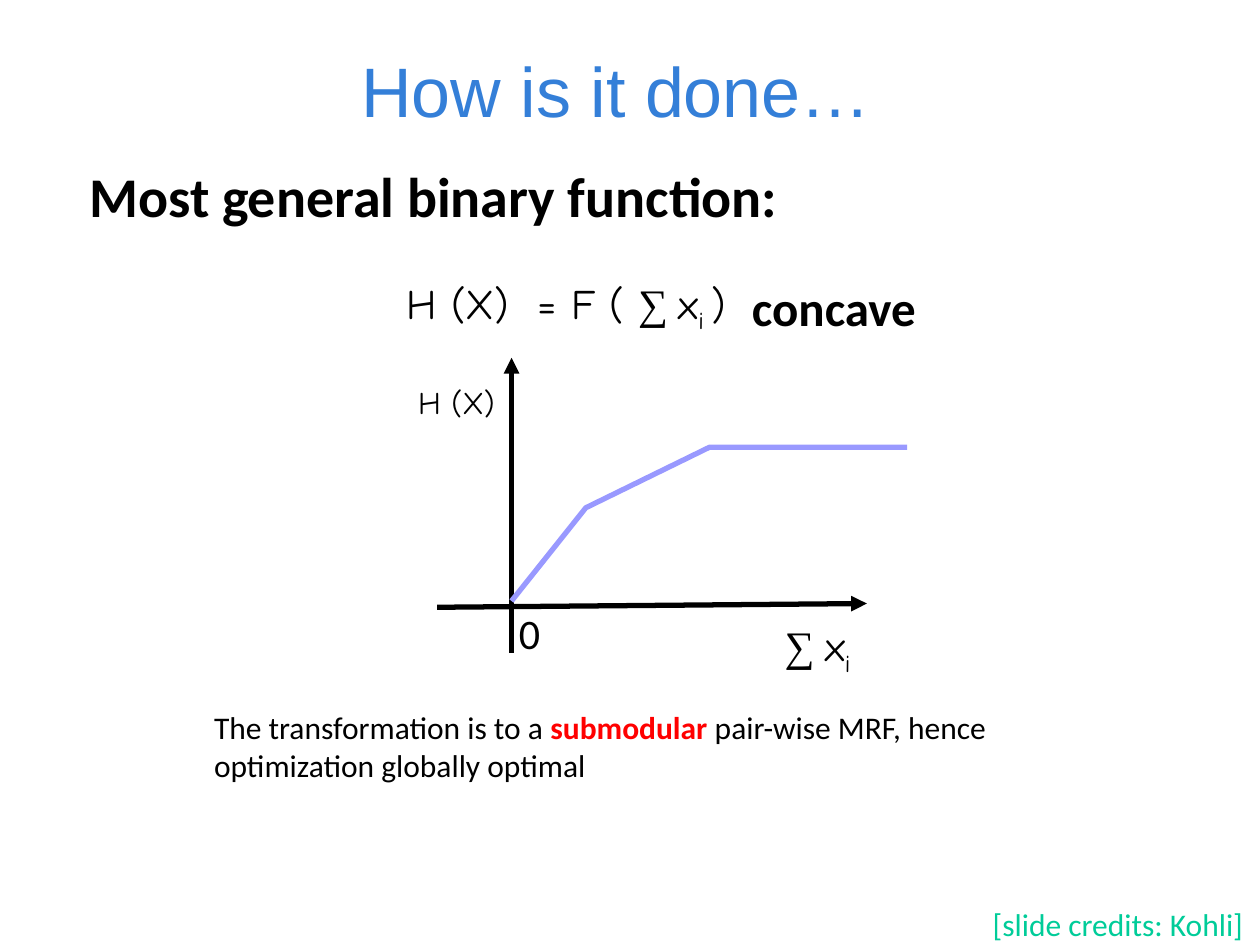
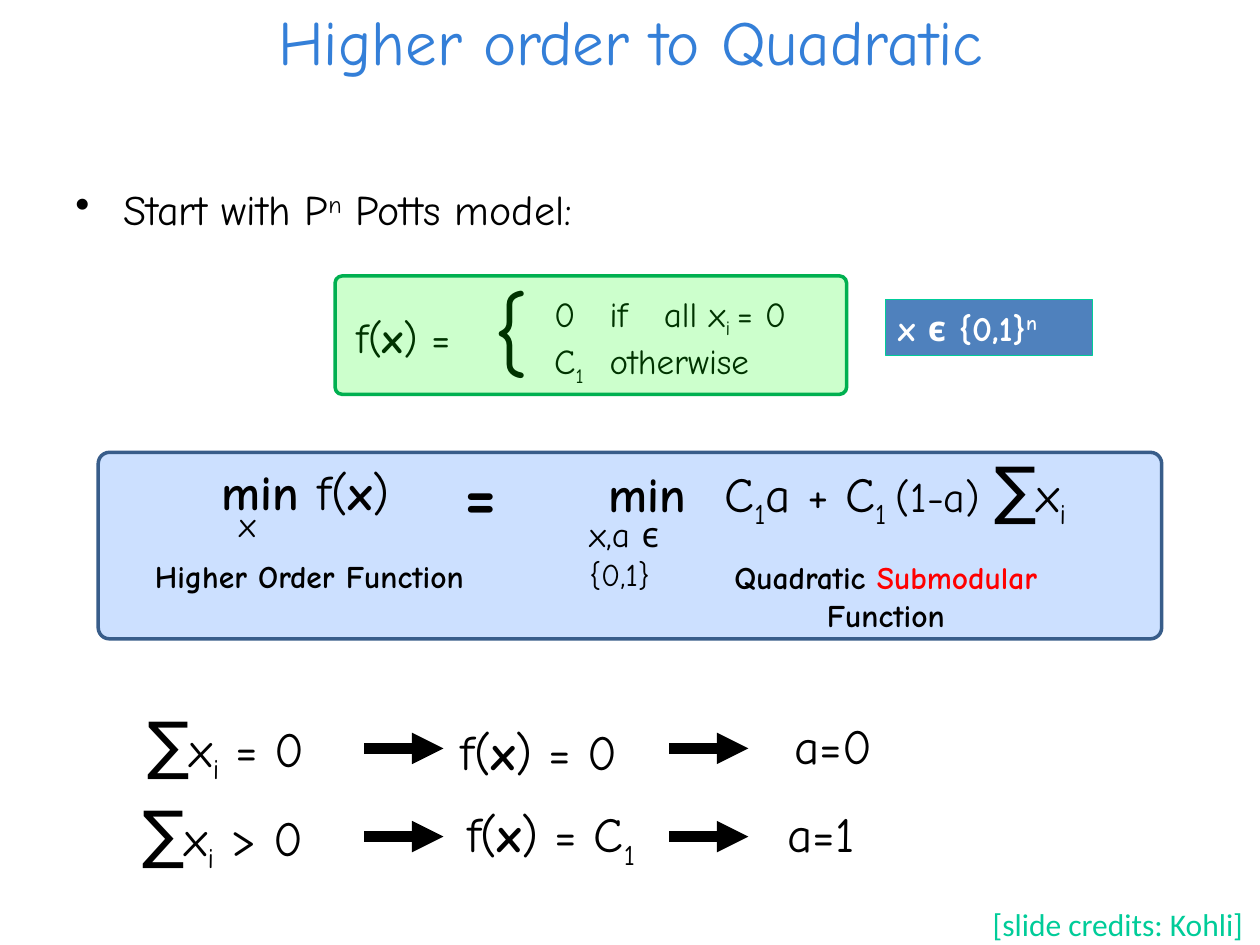
from lxml.etree import SubElement
from pptx import Presentation
from pptx.dml.color import RGBColor
from pptx.enum.shapes import MSO_CONNECTOR as CONN, MSO_SHAPE as SHAPE
from pptx.enum.text import MSO_ANCHOR as ANCHOR, PP_ALIGN as ALIGN
from pptx.oxml.ns import qn
from pptx.util import Emu, Pt

PX = 9144  # 100 px to the inch
BLACK, WHITE, RED = "000000", "FFFFFF", "FF0000"
TITLE_BLUE, CREDIT_GREEN = "347FD8", "00CC99"
BODY, HAND, SERIF = "Calibri", "Comic Neue", "Times New Roman"


def rgb(code):
    return RGBColor.from_string(code)


def px(*lengths):
    return [Emu(n * PX) for n in lengths]


def run(text, **fmt):
    """Pair a piece of text with the format that differs from its box."""
    return text, fmt


def sub(text):
    return run(text, base=-25)


def sup(text):
    return run(text, base=30)


class Deck:
    def __init__(self, width, height):
        self.prs = Presentation()
        self.prs.slide_width, self.prs.slide_height = px(width, height)
        self.s = None

    def slide(self, title, box, size, font):
        self.s = self.prs.slides.add_slide(self.prs.slide_layouts[6])
        self.text(box, [title], size=size, font=font, color=TITLE_BLUE,
                  align=ALIGN.CENTER, anchor=ANCHOR.MIDDLE)
        self.text((778, 713, 279, 40), ["[slide credits: Kohli]"],
                  size=18, color=CREDIT_GREEN)

    def text(self, box, *paras, **fmt):
        sp = self.s.shapes.add_textbox(*px(*box))
        self.fill_frame(sp.text_frame, paras, **fmt)

    def fill_frame(self, tf, paras, wrap=True, anchor=ANCHOR.TOP, align=ALIGN.LEFT,
                   tabs=(), bullet=None, **fmt):
        """Fill a frame with paragraphs, each a list of strings and runs."""
        tf.word_wrap, tf.vertical_anchor = wrap, anchor
        for i, pieces in enumerate(paras):
            p = tf.paragraphs[0] if i == 0 else tf.add_paragraph()
            p.alignment = align
            pPr = p._p.get_or_add_pPr()
            if bullet:
                indent = 38 * PX
                pPr.set("marL", str(indent))
                pPr.set("indent", str(-indent))
                SubElement(pPr, qn("a:buChar"), char=bullet)
            if tabs:
                tab_list = SubElement(pPr, qn("a:tabLst"))
                for pos in tabs:
                    SubElement(tab_list, qn("a:tab"), pos=str(pos * PX), algn="l")
            for piece in pieces:
                text, own = (piece, {}) if isinstance(piece, str) else piece
                self.add_run(p, text, **{**fmt, **own})

    def add_run(self, p, text, size=18, font=BODY, color=BLACK, bold=False, base=0):
        r = p.add_run()
        r.text = text
        r.font.size, r.font.name, r.font.bold = Pt(size), font, bold
        r.font.color.rgb = rgb(color)
        if base:
            r._r.get_or_add_rPr().set("baseline", str(base * 1000))

    def panel(self, box, fill, line, width, alpha=None, rounding=None):
        kind = SHAPE.ROUNDED_RECTANGLE if rounding else SHAPE.RECTANGLE
        sp = self.s.shapes.add_shape(kind, *px(*box))
        sp.shadow.inherit = False
        if rounding:
            sp.adjustments[0] = rounding
        sp.fill.solid()
        sp.fill.fore_color.rgb = rgb(fill)
        if alpha:
            clr = sp._element.spPr.find(qn("a:solidFill")).find(qn("a:srgbClr"))
            SubElement(clr, qn("a:alpha"), val=str(alpha * 1000))
        sp.line.color.rgb, sp.line.width = rgb(line), Pt(width)
        return sp

    def arrow(self, start, end, width):
        c = self.s.shapes.add_connector(CONN.STRAIGHT, *px(*start, *end))
        c.line.color.rgb, c.line.width = rgb(BLACK), Pt(width)
        SubElement(c.line._get_or_add_ln(), qn("a:tailEnd"), type="triangle")
        SubElement(c._element.spPr, qn("a:effectLst"))

    def curve(self, points, color, width):
        fb = self.s.shapes.build_freeform(*points[0], scale=PX)
        fb.add_line_segments(points[1:], close=False)
        sp = fb.convert_to_shape()
        sp.shadow.inherit = False
        sp.fill.background()
        sp.line.color.rgb, sp.line.width = rgb(color), Pt(width)


def concave_slide(d):
    d.slide("How is it done…", (39, 25, 900, 92), 40, "Arial")
    d.text((61, 123, 644, 117), ["Most general binary function:"], size=32, bold=True)
    d.arrow((406, 518), (406, 284), 3)
    d.arrow((347, 482), (688, 479), 3)

    sigma = run("∑ ", font=SERIF)
    d.text((313, 215, 312, 56), ["H (X)\t= F ( ", sigma, "x", sub("i "), ")"],
           size=24, font=HAND, tabs=[104])
    d.text((587, 215, 367, 57), ["concave"], size=28, bold=True)
    d.text((322, 299, 81, 40), ["H (X)"], font=HAND, wrap=False)
    d.text((613, 487, 80, 56), [sigma, "x", sub("i")], size=24, font=HAND, wrap=False)
    d.text((402, 477, 39, 50), ["0"], size=24)
    d.text((160, 557, 669, 70),
           ["The transformation is to a ", run("submodular", color=RED, bold=True),
            " pair-wise MRF, hence optimization globally optimal"])
    d.curve([(406, 477), (465, 403), (563, 355), (720, 355)], "9999FF", 3)


def quadratic_slide(d):
    d.slide("Higher order to Quadratic", (20, 0, 961, 64), 36, HAND)
    d.text((50, 141, 900, 62), ["Start with P", sup("n"), " Potts model:"],
           size=24, font=HAND, bullet="•")

    bold_x = run("x", bold=True)
    d.text((382, 211, 87, 100), ["{"], size=54, font=HAND)
    d.text((430, 227, 210, 86), ["0\tif\tall x", sub("i "), "= 0"],
           ["C", sub("1"), "\totherwise"], size=20, font=HAND, tabs=[44, 87])
    d.text((273, 242, 95, 50), ["f(", bold_x, ") ="], size=24, font=HAND, wrap=False)
    d.panel((266, 219, 406, 94), "00FF00", "00B050", 2, alpha=20, rounding=0.06)
    domain = d.panel((703, 238, 164, 44), "4F81BD", CREDIT_GREEN, 0.75)
    d.fill_frame(domain.text_frame, [["x ϵ {0,1}", sup("n")]],
                 size=20, font=HAND, color=WHITE, bold=True)

    d.panel((78, 359, 844, 148), "0066FF", "385D8A", 2, alpha=20, rounding=0.06)
    minimum = run("min", bold=True)
    big_sigma = run("∑", size=36)
    d.text((86, 356, 313, 64), [minimum, run(" ", size=32), "f(", bold_x, ")"],
           size=28, font=HAND, align=ALIGN.CENTER)
    d.text((473, 352, 433, 74),
           [minimum, "\tC", sub("1"), "a + C", sub("1 "), run("(1-a) ", size=24),
            big_sigma, "x", sub("i")], size=28, font=HAND, tabs=[92])
    d.text((180, 394, 55, 44), ["x"], size=20, font=HAND)
    d.text((359, 353, 94, 77), ["="], size=40, font=HAND, bold=True)
    d.text((458, 402, 132, 44), ["x,a ϵ ", run("{0,1}", size=18)],
           size=20, font=HAND, wrap=False)
    caption = dict(font=HAND, bold=True, align=ALIGN.CENTER)
    d.text((105, 437, 281, 40), ["Higher Order Function"], **caption)
    d.text((539, 438, 328, 70),
           ["Quadratic ", run("Submodular", color=RED), " Function"], **caption)

    cases = [
        (594, " = 0", (107, 554, 161, 74), [") = 0"], (356, 568, 188, 57),
         "a=0", (621, 563, 227, 57)),
        (664, " > 0", (103, 625, 164, 74), [") = C", sub("1")], (361, 633, 187, 63),
         "a=1", (615, 633, 227, 57)),
    ]
    for y, condition, sum_box, value, f_box, choice, choice_box in cases:
        d.text(sum_box, [big_sigma, "x", sub("i"), condition],
               size=28, font=HAND, wrap=False)
        d.text(f_box, ["f(", bold_x, *value], size=28, font=HAND)
        d.text(choice_box, [choice], size=28, font=HAND)
        for x in (289, 531):
            d.arrow((x, y), (x + 63, y), 6)


def main():
    d = Deck(1000, 750)
    concave_slide(d)
    quadratic_slide(d)
    d.prs.save("out.pptx")


if __name__ == "__main__":
    main()
